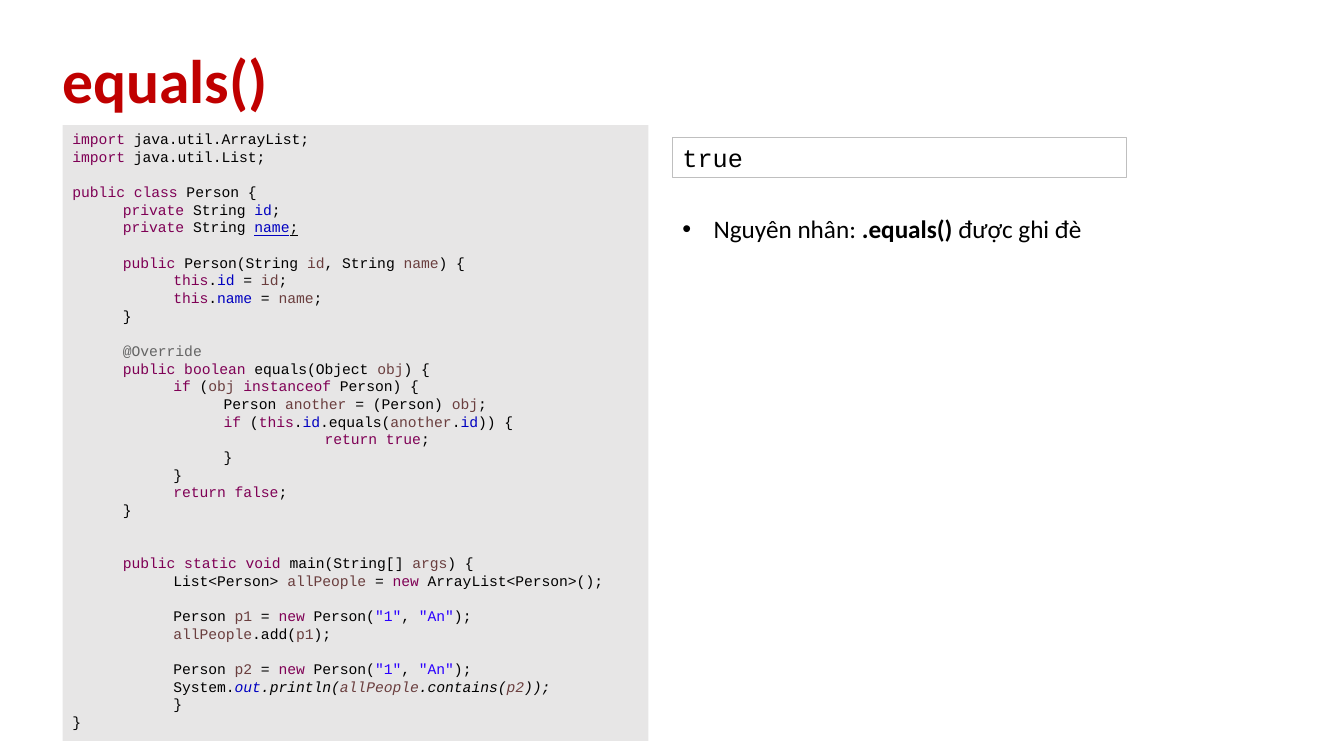
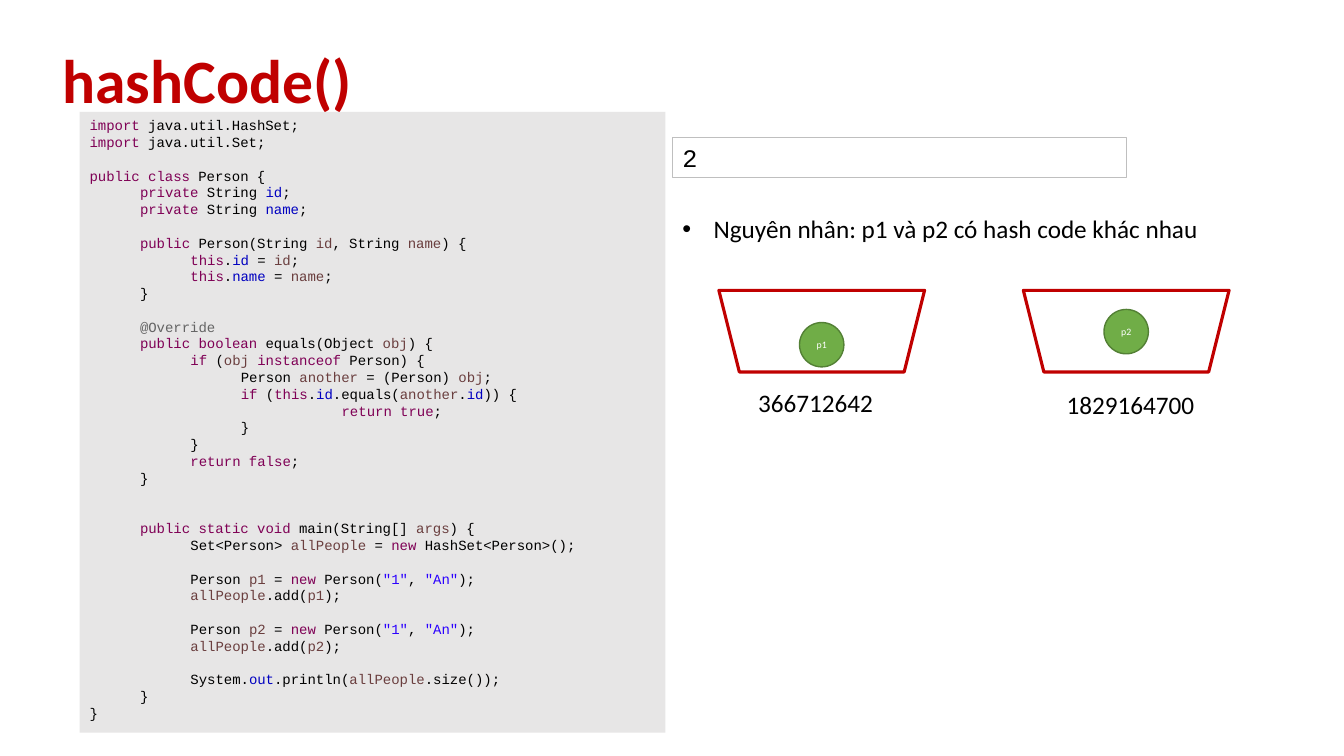
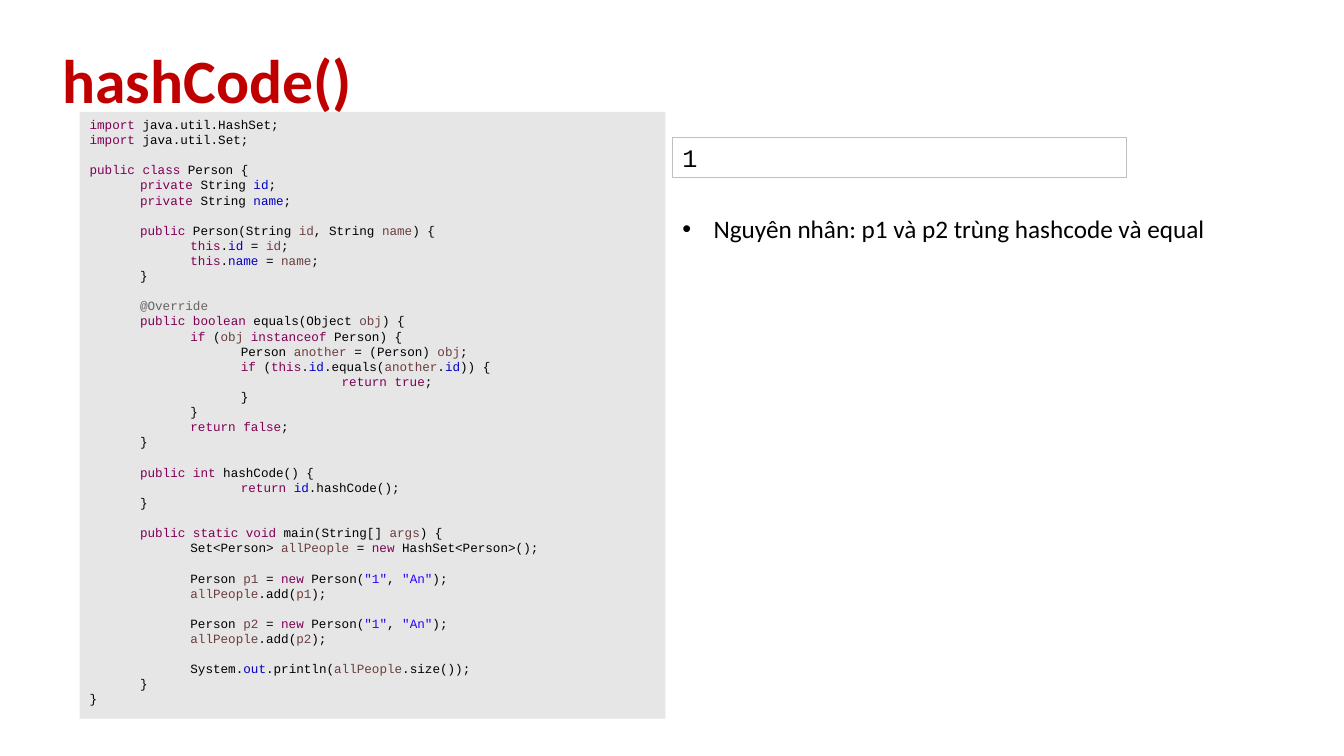
"""Build three slides on equals() and hashCode() in Java."""
from itertools import groupby

from lxml.etree import SubElement
from pptx import Presentation
from pptx.dml.color import RGBColor
from pptx.enum.shapes import MSO_SHAPE
from pptx.enum.text import MSO_ANCHOR, PP_ALIGN
from pptx.oxml.ns import qn
from pptx.util import Inches, Pt

RED = RGBColor(0xC0, 0x00, 0x00)
BLACK = RGBColor(0x00, 0x00, 0x00)
WHITE = RGBColor(0xFF, 0xFF, 0xFF)
PANEL_GRAY = RGBColor(0xE7, 0xE6, 0xE6)
BORDER_GRAY = RGBColor(0xBF, 0xBF, 0xBF)
GREEN = RGBColor(0x70, 0xAD, 0x47)
DARK_GREEN = RGBColor(0x53, 0x80, 0x35)
KEYWORD_COLOR = RGBColor(0x7F, 0x00, 0x55)
FIELD_COLOR = RGBColor(0x00, 0x00, 0xC0)
VARIABLE_COLOR = RGBColor(0x6A, 0x3E, 0x3E)
STRING_COLOR = RGBColor(0x2A, 0x00, 0xFF)
ANNOTATION_COLOR = RGBColor(0x64, 0x64, 0x64)

TEXT_FONT = "Calibri"
CODE_FONT = "Courier New"
CODE_LINE_HEIGHT = 1.2
CODE_INDENT = 4
KEYWORDS = set("import public class private this boolean if instanceof "
               "return true false static void new int".split())
VARIABLES = set("obj another args allPeople p1 p2".split())
FIELDS = {"id", "name", "out"}

PERSON_CLASS = """
public class Person {
    private String id;
    private String name;

    public Person(String id, String name) {
        this.id = id;
        this.name = name;
    }

    @Override
    public boolean equals(Object obj) {
        if (obj instanceof Person) {
            Person another = (Person) obj;
            if (this.id.equals(another.id)) {
                    return true;
            }
        }
        return false;
    }
"""
HASH_CODE_METHOD = """
    public int hashCode() {
            return id.hashCode();
    }
"""
ADD_FIRST_PERSON = """
        Person p1 = new Person("1", "An");
        allPeople.add(p1);

        Person p2 = new Person("1", "An");
"""
CONTAINS_ENDING = """        System.out.println(allPeople.contains(p2));
        }
}"""
SIZE_ENDING = """        allPeople.add(p2);

        System.out.println(allPeople.size());
    }
}"""


def person_code(interface, implementation, middle, ending):
    """Return the Java program for one kind of collection."""
    imports = "".join(f"import java.util.{name};\n" for name in (implementation, interface))
    main_start = (f"\n    public static void main(String[] args) {{\n"
                  f"        {interface}<Person> allPeople = new {implementation}<Person>();\n")
    return imports + PERSON_CLASS + middle + main_start + ADD_FIRST_PERSON + ending


def token_color(token, before):
    """Return the highlight colour of a token, given the text before it."""
    if token.startswith("@"):
        return ANNOTATION_COLOR
    if token.startswith('"'):
        return STRING_COLOR
    if token in KEYWORDS:
        return KEYWORD_COLOR
    if token in FIELDS:
        is_parameter = before.endswith("= ") or before.startswith("public Person(")
        return VARIABLE_COLOR if is_parameter else FIELD_COLOR
    return VARIABLE_COLOR if token in VARIABLES else BLACK


def highlight(line, emphasis_start):
    """Return (text, colour, emphasised) runs of a line of code."""
    tokens = []
    before, color, emphasised = "", BLACK, False
    for _, characters in groupby(line, lambda c: c.isalnum() or c in '@"'):
        token = "".join(characters)
        emphasised = emphasised or token == emphasis_start
        if token.strip():
            color = token_color(token, before)
        tokens.append((token, color, emphasised))
        before += token
    return [("".join(token[0] for token in group), *style)
            for style, group in groupby(tokens, lambda token: token[1:])]


def add_run(paragraph, text, size, color, font=TEXT_FONT, bold=False):
    """Add a styled run to a paragraph."""
    run = paragraph.add_run()
    run.text = text
    run.font.name = font
    run.font.size = Pt(size)
    run.font.bold = bold
    run.font.color.rgb = color
    return run


def add_text_box(slide, left, top, width, height):
    """Add a wrapping text box and return its text frame."""
    frame = slide.shapes.add_textbox(Inches(left), Inches(top), Inches(width), Inches(height)).text_frame
    frame.word_wrap = True
    return frame


def add_filled_shape(slide, kind, left, top, width, height, fill, line=None, line_width=1):
    """Add a flat preset shape with left-aligned text at the top."""
    shape = slide.shapes.add_shape(kind, Inches(left), Inches(top), Inches(width), Inches(height))
    shape.shadow.inherit = False
    shape.fill.solid()
    shape.fill.fore_color.rgb = fill
    if line is None:
        shape.line.fill.background()
    else:
        shape.line.color.rgb = line
        shape.line.width = Pt(line_width)
    shape.text_frame.vertical_anchor = MSO_ANCHOR.TOP
    shape.text_frame.paragraphs[0].alignment = PP_ALIGN.LEFT
    return shape


def add_title(slide, text):
    """Add the slide title."""
    frame = add_text_box(slide, 0.62, 0.44, 11.3, 0.79)
    frame.vertical_anchor = MSO_ANCHOR.MIDDLE
    frame.margin_left = frame.margin_right = frame.margin_top = frame.margin_bottom = 0
    paragraph = frame.paragraphs[0]
    paragraph.line_spacing = 0.85
    add_run(paragraph, text, 44, RED, bold=True)


def add_code_panel(slide, left, top, height, size, code, emphasis):
    """Add a gray panel of highlighted code; emphasis maps a line to (first word, font attribute)."""
    panel = add_filled_shape(slide, MSO_SHAPE.RECTANGLE, left, top, 5.81, height, PANEL_GRAY)
    frame = panel.text_frame
    paragraph = frame.paragraphs[0]
    line_height = size * CODE_LINE_HEIGHT
    blank_lines = 0
    for number, line in enumerate(code.splitlines()):
        content = line.strip()
        if not content:
            blank_lines += 1
            continue
        if number:
            paragraph = frame.add_paragraph()
        paragraph.alignment = PP_ALIGN.LEFT
        paragraph.line_spacing = Pt(line_height)
        paragraph.space_before = Pt(blank_lines * line_height)
        blank_lines = 0
        paragraph.level = (len(line) - len(content)) // CODE_INDENT
        properties = paragraph._p.get_or_add_pPr()
        properties.set("marL", str(Inches(0.5) * paragraph.level))
        properties.set("indent", "0")
        first_word, attribute = emphasis.get(content, (None, None))
        for text, color, emphasised in highlight(content, first_word):
            run = add_run(paragraph, text, size, color, CODE_FONT)
            if emphasised:
                setattr(run.font, attribute, True)


def add_output(slide, text):
    """Add the bordered box with the program output."""
    box = add_filled_shape(slide, MSO_SHAPE.RECTANGLE, 6.67, 1.36, 4.5, 0.4, WHITE, BORDER_GRAY, 0.75)
    add_run(box.text_frame.paragraphs[0], text, 18, BLACK, CODE_FONT)


def add_body_text(slide, left, top, width, parts):
    """Add a line of body text from (text, bold) parts and return its paragraph."""
    paragraph = add_text_box(slide, left, top, width, 0.49).paragraphs[0]
    paragraph.line_spacing = 1.3
    paragraph.space_before = Pt(6)
    for text, bold in parts:
        add_run(paragraph, text, 18, BLACK, bold=bold)
    return paragraph


def add_reason(slide, *parts):
    """Add the bulleted reason for the output."""
    paragraph = add_body_text(slide, 6.67, 1.98, 5.77, [("Nguyên nhân: ", False), *parts])
    properties = paragraph._p.get_or_add_pPr()
    properties.set("marL", str(Inches(0.31)))
    properties.set("indent", str(-Inches(0.31)))
    SubElement(properties, qn("a:buFont"), typeface="Arial")
    SubElement(properties, qn("a:buChar"), char="•")


def add_bucket(slide, left, ball_top, person, hash_left, hash_top, hash_width, hash_code):
    """Add a hash bucket holding one person, with its hash code below."""
    bucket = add_filled_shape(slide, MSO_SHAPE.TRAPEZOID, left, 2.88, 2.04, 0.81, WHITE, RED, 2.25)
    bucket.rotation = 180
    ball = add_filled_shape(slide, MSO_SHAPE.OVAL, left + 0.8, ball_top, 0.44, 0.44, GREEN, DARK_GREEN)
    ball.text_frame.vertical_anchor = MSO_ANCHOR.MIDDLE
    paragraph = ball.text_frame.paragraphs[0]
    paragraph.alignment = PP_ALIGN.CENTER
    add_run(paragraph, person, 7, WHITE)
    add_body_text(slide, hash_left, hash_top, hash_width, [(hash_code, False)])


def add_example(presentation, title, output, reason, panel, code, emphasis=None):
    """Add a slide with title, code panel, output and reason."""
    slide = presentation.slides.add_slide(presentation.slide_layouts[6])
    add_title(slide, title)
    add_code_panel(slide, *panel, code, emphasis or {})
    add_output(slide, output)
    add_reason(slide, *reason)
    return slide


def main():
    """Build and save the presentation."""
    presentation = Presentation()
    presentation.slide_width = Inches(13.33)
    presentation.slide_height = Inches(7.5)

    add_example(
        presentation, "equals()", "true",
        [(".equals() ", True), ("được ghi đè", False)],
        (0.62, 1.24, 6.11, 10.5),
        person_code("List", "ArrayList", "\n", CONTAINS_ENDING),
        {"private String name;": ("name", "underline"),
         "System.out.println(allPeople.contains(p2));": ("out", "italic")})

    slide = add_example(
        presentation, "hashCode()", "2",
        [("p1 và p2 có hash code khác nhau", False)],
        (0.79, 1.11, 6.16, 10),
        person_code("Set", "HashSet", "\n", SIZE_ENDING))
    add_bucket(slide, 7.13, 3.2, "p1", 7.42, 3.7, 1.34, "366712642")
    add_bucket(slide, 10.15, 3.07, "p2", 10.48, 3.72, 1.71, "1829164700")

    add_example(
        presentation, "hashCode()", "1",
        [("p1 và p2 trùng hashcode và equal", False)],
        (0.79, 1.11, 6.02, 9),
        person_code("Set", "HashSet", HASH_CODE_METHOD, SIZE_ENDING))

    presentation.save("out.pptx")


if __name__ == "__main__":
    main()
